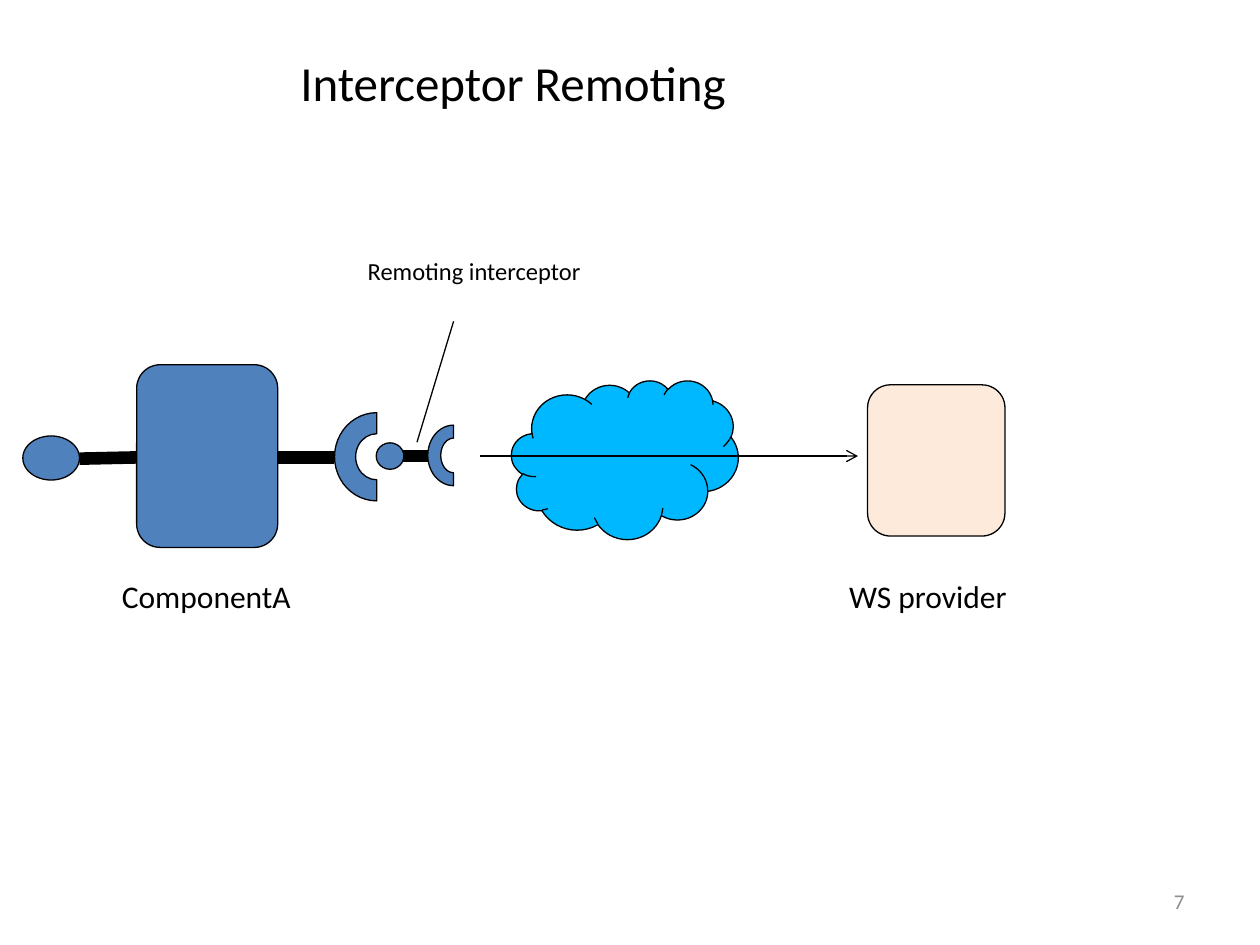
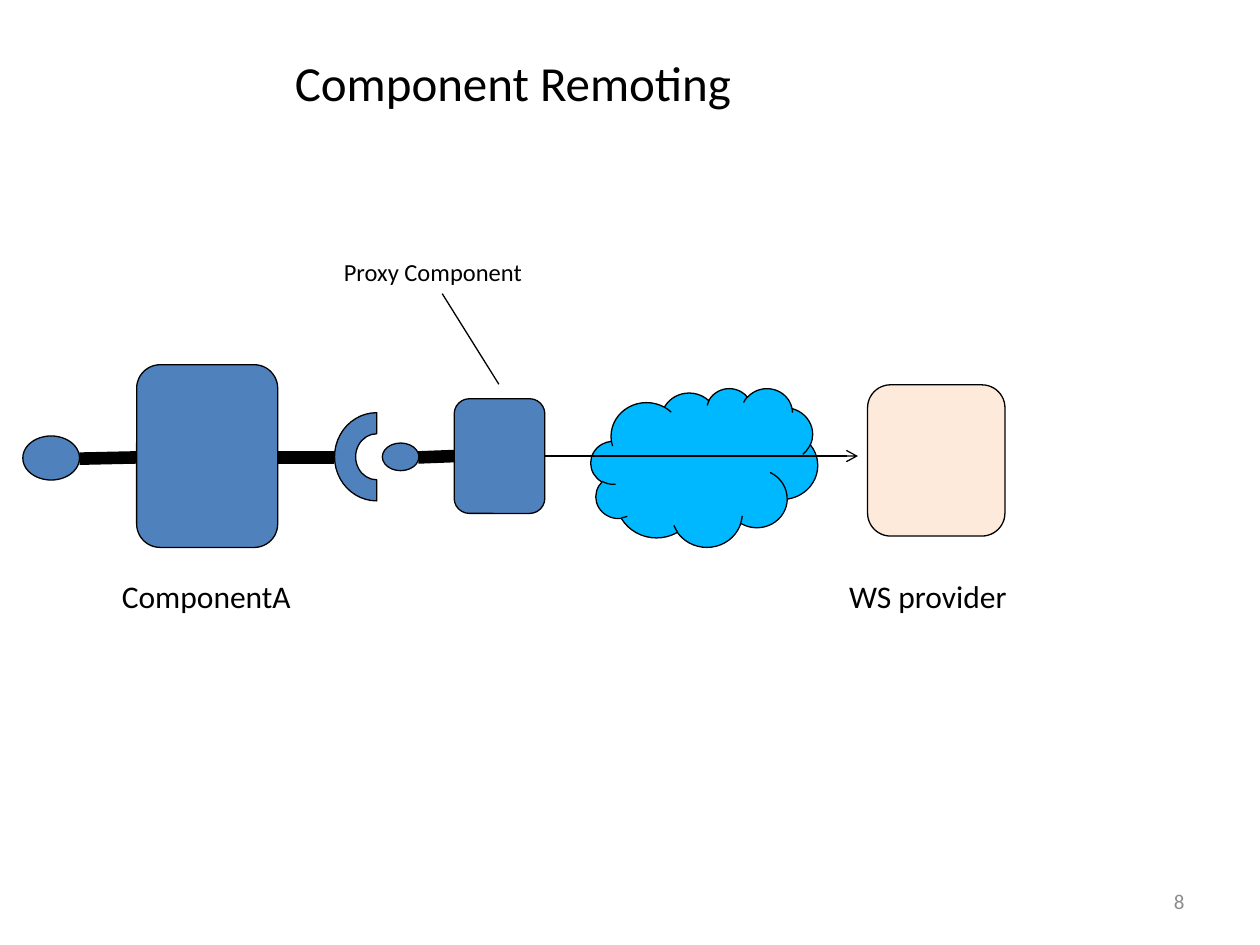
from lxml import etree
from pptx import Presentation
from pptx.dml.color import RGBColor
from pptx.enum.shapes import MSO_CONNECTOR, MSO_SHAPE
from pptx.enum.text import MSO_ANCHOR, MSO_AUTO_SIZE, PP_ALIGN
from pptx.oxml.ns import qn
from pptx.util import Pt

BLACK = RGBColor(0x00, 0x00, 0x00)
GREY = RGBColor(0x8C, 0x8C, 0x8C)
BLUE = RGBColor(0x4F, 0x81, 0xBD)
SKY = RGBColor(0x00, 0xB8, 0xFF)
PEACH = RGBColor(0xFD, 0xEA, 0xDA)

ROUNDED, OVAL = MSO_SHAPE.ROUNDED_RECTANGLE, MSO_SHAPE.OVAL
ARC, CLOUD = MSO_SHAPE.BLOCK_ARC, MSO_SHAPE.CLOUD
STRAIGHT = MSO_CONNECTOR.STRAIGHT
LEFT, CENTER, RIGHT = PP_ALIGN.LEFT, PP_ALIGN.CENTER, PP_ALIGN.RIGHT
TOP, MIDDLE = MSO_ANCHOR.TOP, MSO_ANCHOR.MIDDLE
FIT_SHAPE = MSO_AUTO_SIZE.SHAPE_TO_FIT_TEXT

FONT = "Calibri"
THIN, THICK = 0.75, 7.2
AXIS = 260.6  # height at which the calls travel


def add_text(page, text, frame, size, color=BLACK, align=LEFT, anchor=TOP, wrap=True):
    """Add one line of text in a box."""
    box = page.shapes.add_textbox(*map(Pt, frame))
    box.text_frame.word_wrap = wrap
    box.text_frame.vertical_anchor = anchor
    if not wrap:
        box.text_frame.auto_size = FIT_SHAPE
    para = box.text_frame.paragraphs[0]
    para.text = text
    para.alignment = align
    para.font.name, para.font.size = FONT, Pt(size)
    para.font.color.rgb = color


def add_label(page, text, frame, size):
    """Add a label that keeps to one line."""
    add_text(page, text, frame, size, wrap=False)


def add_part(parent, kind, frame, fill=BLUE, rotation=0):
    """Add a filled, thinly outlined shape to a page or group."""
    part = parent.shapes.add_shape(kind, *map(Pt, frame))
    part.shadow.inherit = False
    part.rotation = rotation
    part.fill.solid()
    part.fill.fore_color.rgb = fill
    part.line.color.rgb = BLACK
    part.line.width = Pt(THIN)


def add_line(parent, start, end, width=THIN, arrow=False):
    """Add a straight black line, with an open arrowhead if wanted."""
    line = parent.shapes.add_connector(STRAIGHT, *map(Pt, start + end))
    line.line.color.rgb = BLACK
    line.line.width = Pt(width)
    if arrow:
        outline = line.line._get_or_add_ln()
        etree.SubElement(outline, qn("a:tailEnd"), type="arrow")
    etree.SubElement(line._element.spPr, qn("a:effectLst"))


def add_component(page):
    """Add ComponentA with its provided ball and its required socket."""
    body = page.shapes.add_group_shape()
    add_line(body, (158.4, 261.4), (190.8, 261.4), THICK)
    add_part(body, ROUNDED, (66.2, 220.3, 104.4, 80.6), rotation=270)
    add_part(body, ARC, (190.1, 236.9, 50.4, 48.2), rotation=270)
    ball = page.shapes.add_group_shape()
    add_part(ball, OVAL, (16.6, 245.5, 25.2, 32.4), rotation=90)
    add_line(ball, (77.8, 261.4), (45.4, 262.1), THICK)
    add_label(page, "ComponentA", (62.6, 326.2, 120.2, 28.8), 18)


def add_provider(page):
    """Add the remote web service."""
    add_part(page, ROUNDED, (491.8, 223.9, 86.4, 78.5), PEACH, 90)
    add_label(page, "WS provider", (478.1, 326.2, 114.5, 28.8), 18)


def add_network(page, cloud_left, cloud_top, call_start):
    """Add the cloud and the call that crosses it to the provider."""
    add_part(page, CLOUD, (cloud_left, cloud_top, 129.6, 90.7), SKY)
    add_line(page, (call_start, AXIS), (490.3, AXIS), arrow=True)


def add_page(deck, title, number):
    """Add a page with the title, number, component and provider."""
    page = deck.slides.add_slide(deck.slide_layouts[6])
    add_text(page, str(number), (516.2, 500.4, 167.8, 28.8), 12, GREY, RIGHT, MIDDLE)
    add_text(page, title, (49, 9.4, 488.2, 74.9), 28, BLACK, CENTER, MIDDLE)
    add_component(page)
    add_provider(page)
    return page


def add_interceptor_page(deck):
    """Show remoting done by an interceptor."""
    page = add_page(deck, "Interceptor Remoting", 7)
    add_label(page, "Remoting interceptor", (203, 142.6, 145.4, 41), 14)
    add_line(page, (238.3, 252.7), (259.2, 183.6))
    interceptor = page.shapes.add_group_shape()
    add_part(interceptor, OVAL, (215.3, 252.7, 15.1, 15.8), rotation=90)
    add_line(interceptor, (246.2, AXIS), (230.4, AXIS), THICK)
    add_part(interceptor, ARC, (241.9, 245.5, 34.6, 29.5), rotation=270)
    add_network(page, 292.3, 217.4, 274.3)


def add_proxy_page(deck):
    """Show remoting done by a proxy component."""
    page = add_page(deck, "Component Remoting", 8)
    add_network(page, 337.7, 221.8, 311)
    proxy = page.shapes.add_group_shape()
    add_part(proxy, ROUNDED, (252.7, 234.7, 65.5, 51.8), rotation=270)
    add_part(proxy, OVAL, (221, 250.6, 15.8, 20.9), rotation=90)
    add_line(proxy, (259.9, AXIS), (239, 261.4), THICK)
    add_label(page, "Proxy Component", (189.4, 143.3, 127.4, 24.5), 14)
    add_line(page, (285.1, 219.6), (252.7, 167.8))


def main():
    """Build and save the deck."""
    deck = Presentation()
    deck.slide_width, deck.slide_height = Pt(720), Pt(540)
    add_interceptor_page(deck)
    add_proxy_page(deck)
    deck.save("out.pptx")


main()
